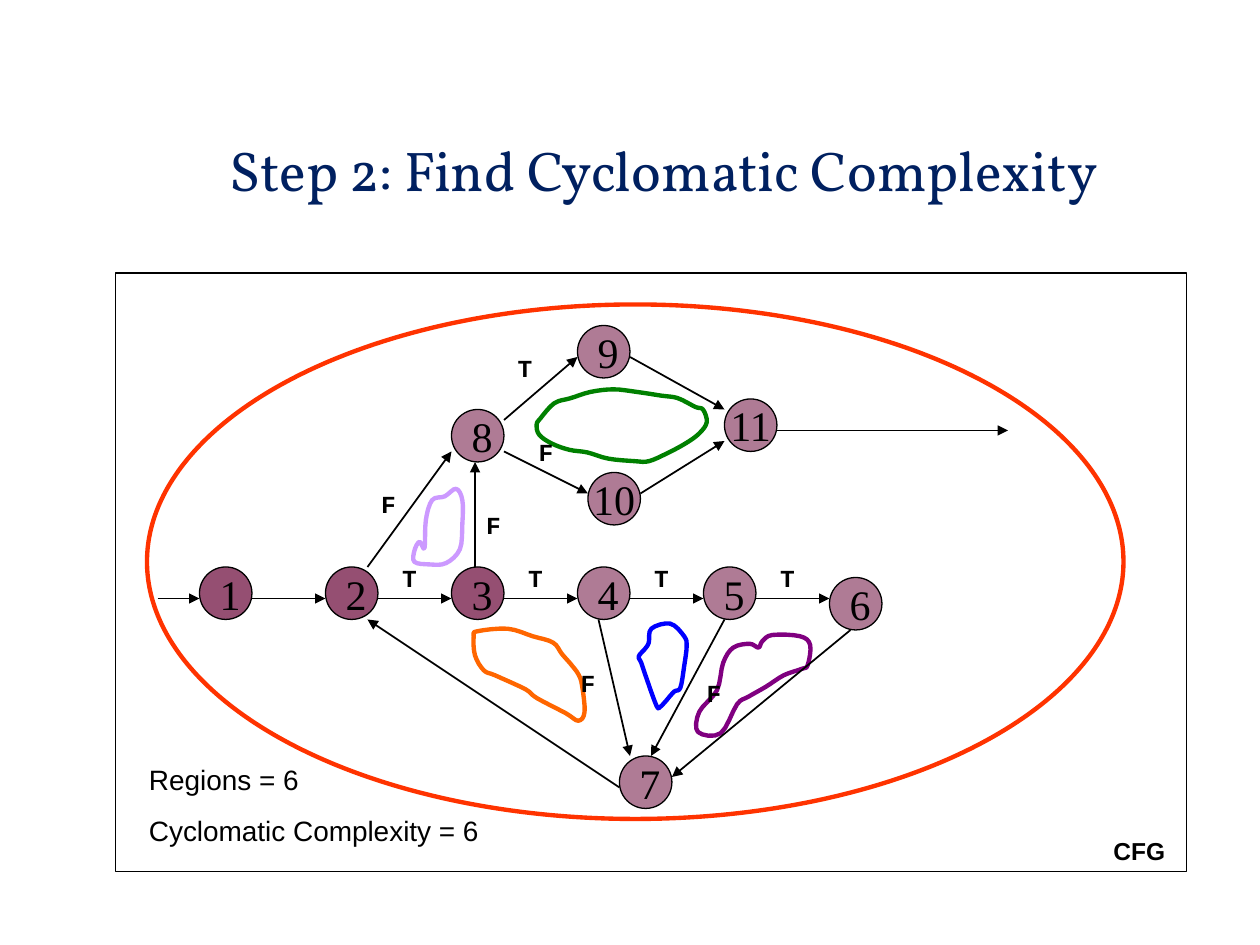
"""Build the cyclomatic complexity slide on a grid of twelfths of an inch."""
from dataclasses import dataclass
from itertools import chain
from typing import NamedTuple

from lxml import etree
from pptx import Presentation
from pptx import util as u
from pptx.dml import color
from pptx.enum import shapes, text
from pptx.oxml import ns

CELL = u.Inches(1) // 12
COLS, ROWS = 120, 90


@dataclass(frozen=True)
class Theme:
    ink: str = "000000"
    title: str = "002060"
    node: str = "954F72"
    outer: str = "FF3300"
    head: str = "Vollkorn"
    body: str = "Arial"
    code: str = "Courier New"
    digit: str = "Times New Roman"
    big: int = 32
    mid: int = 24
    note: int = 16
    small: int = 14
    thick: float = 2.5
    thin: float = 1
    rim: float = 0.75


class Node(NamedTuple):
    name: str
    col: float
    row: float
    solid: bool = False


class Edge(NamedTuple):
    col: float
    row: float
    to_col: float
    to_row: float


class Label(NamedTuple):
    name: str
    col: float
    row: float


class Loop(NamedTuple):
    hue: str
    spots: tuple


THEME = Theme()
SIZE = 5
STEP = 12
FIRST, BASE = 19, 54

NODES = [Node(str(i + 1), FIRST + STEP * i, BASE, i < 3) for i in range(5)] + [
    Node("6", 79, 55), Node("7", 59, 72), Node("9", 55, 31),
    Node("8", 43, 39), Node("10", 56, 45), Node("11", 69, 38),
]
EDGES = [Edge(24 + STEP * i, 57, 31 + STEP * i, 57) for i in range(5)] + [
    Edge(15, 57, 19, 57), Edge(81, 60, 64, 74), Edge(69, 59, 62, 72),
    Edge(57, 59, 60, 72), Edge(59, 75, 35, 59), Edge(35, 54, 43, 43),
    Edge(48, 40, 55, 34), Edge(48, 43, 56, 47), Edge(60, 34, 69, 39),
    Edge(61, 47, 69, 42), Edge(74, 41, 96, 41), Edge(45.25, 54, 45.25, 44),
]
LABELS = [Label("T", 36 + STEP * i, 53) for i in range(4)] + [
    Label("T", 47, 33), Label("F", 49, 41), Label("F", 34, 46),
    Label("F", 53, 63), Label("F", 65, 64), Label("F", 44, 48),
]
LOOPS = [
    Loop("008000", (
        (5.52, 3.23), (5.38, 3.16), (5.25, 3.14), (5.05, 3.11), (4.87, 3.09),
        (4.69, 3.11), (4.53, 3.16), (4.4, 3.2), (4.29, 3.32), (4.26, 3.37),
        (4.28, 3.45), (4.38, 3.52), (4.52, 3.57), (4.66, 3.59), (4.83, 3.64),
        (5.04, 3.66), (5.15, 3.66), (5.29, 3.6), (5.44, 3.52), (5.55, 3.44),
        (5.61, 3.35), (5.58, 3.25))),
    Loop("FF6600", (
        (4.53, 5.27), (4.46, 5.19), (4.39, 5.1), (4.23, 5.05), (4.03, 4.99),
        (3.79, 5.01), (3.76, 5.05), (3.77, 5.2), (3.84, 5.32), (3.93, 5.36),
        (4.17, 5.47), (4.26, 5.54), (4.49, 5.66), (4.59, 5.72), (4.64, 5.65),
        (4.62, 5.44), (4.59, 5.35))),
    Loop("0000FF", (
        (5.21, 5.6), (5.12, 5.35), (5.09, 5.26), (5.07, 5.21), (5.12, 5.15),
        (5.15, 5.1), (5.17, 4.99), (5.32, 4.95), (5.43, 5.05), (5.45, 5.13),
        (5.43, 5.29), (5.4, 5.46), (5.35, 5.49), (5.28, 5.57), (5.24, 5.61))),
    Loop("800080", (
        (6.02, 5.14), (6.05, 5.09), (6.13, 5.04), (6.35, 5.05), (6.43, 5.12),
        (6.41, 5.28), (6.36, 5.31), (6.22, 5.36), (6.08, 5.45), (5.94, 5.53),
        (5.85, 5.59), (5.72, 5.82), (5.54, 5.81), (5.55, 5.65), (5.69, 5.48),
        (5.74, 5.26), (5.82, 5.14), (5.95, 5.11))),
    Loop("CC99FF", (
        (3.37, 4.35), (3.38, 4.13), (3.43, 3.97), (3.53, 3.94), (3.62, 3.88),
        (3.67, 3.97), (3.67, 4.16), (3.65, 4.36), (3.54, 4.47), (3.41, 4.48),
        (3.29, 4.46), (3.29, 4.37), (3.33, 4.3))),
]


def tint(hue: str) -> color.RGBColor:
    """Turn a hex string into a colour."""
    return color.RGBColor.from_string(hue)


def grid(*cells: float) -> list[int]:
    """Turn grid cells into slide lengths."""
    return [round(c * CELL) for c in cells]


def write(frame, *lines: str, font: str = THEME.body, size: float = THEME.small,
          hue: str = THEME.ink, bold: bool = False, align=text.PP_ALIGN.CENTER,
          gap: float = 0, lead: float = 1) -> None:
    """Fill a text frame with formatted paragraphs."""
    for i, line in enumerate(lines):
        para = frame.add_paragraph() if i else frame.paragraphs[0]
        para.text, para.alignment, para.line_spacing = line, align, lead
        para.space_before = u.Pt(gap if i else 0)
        para.font.name, para.font.size, para.font.bold = font, u.Pt(size), bold
        para.font.color.rgb = tint(hue)


def box(slide, col: float, row: float, wide: float, high: float, *lines: str, **form) -> None:
    """Add a wrapping text box."""
    frame = slide.shapes.add_textbox(*grid(col, row, wide, high)).text_frame
    frame.word_wrap = True
    write(frame, *lines, **form)


def trim(shape, hue: str, width: float) -> None:
    """Give a shape a plain outline with no fill and no shadow."""
    shape.shadow.inherit = False
    shape.fill.background()
    shape.line.color.rgb, shape.line.width = tint(hue), u.Pt(width)


def ring(slide, kind, cells: tuple, hue: str, width: float):
    """Add an outlined preset shape."""
    shape = slide.shapes.add_shape(kind, *grid(*cells))
    trim(shape, hue, width)
    return shape


def draw_node(slide, node: Node) -> None:
    """Draw a numbered circle."""
    shape = ring(slide, shapes.MSO_SHAPE.OVAL, (node.col, node.row, SIZE, SIZE),
                 THEME.ink, THEME.rim)
    shape.fill.solid()
    shape.fill.fore_color.rgb = tint(THEME.node)
    if not node.solid:
        fill = shape.fill._xPr.find(ns.qn("a:solidFill"))[0]
        etree.SubElement(fill, ns.qn("a:alpha"), val="75000")
    shape.text_frame.word_wrap = False
    shape.text_frame.vertical_anchor = text.MSO_ANCHOR.MIDDLE
    side = text.PP_ALIGN.CENTER if len(node.name) > 1 else text.PP_ALIGN.LEFT
    write(shape.text_frame, node.name, font=THEME.digit, size=THEME.mid, align=side)


def draw_edge(slide, edge: Edge) -> None:
    """Draw an arrow between two grid points."""
    line = slide.shapes.add_connector(shapes.MSO_CONNECTOR.STRAIGHT, *grid(*edge))
    line.line.color.rgb, line.line.width = tint(THEME.ink), u.Pt(THEME.thin)
    etree.SubElement(line.line._get_or_add_ln(), ns.qn("a:tailEnd"), type="triangle")
    etree.SubElement(line._element.spPr, ns.qn("a:effectLst"))


def curve(spots: tuple, steps: int = 4) -> list[tuple]:
    """Round a closed outline, given in inches, with a Catmull-Rom spline."""
    def blend(a, b, c, d, t):
        return u.Inches(b + t / 2 * (c - a + t * (2*a - 5*b + 4*c - d + t * (3*b - a - 3*c + d))))

    n = len(spots)
    spans = ([spots[(i + k) % n] for k in (-1, 0, 1, 2)] for i in range(n))
    return list(chain.from_iterable(
        [tuple(blend(*axis, s / steps) for axis in zip(*span)) for s in range(steps)]
        for span in spans))


def draw_loop(slide, loop: Loop) -> None:
    """Draw a hand-shaped outline around a region."""
    start, *rest = curve(loop.spots)
    path = slide.shapes.build_freeform(*start)
    path.add_line_segments(rest, close=True)
    trim(path.convert_to_shape(), loop.hue, THEME.thick)


def main() -> None:
    """Build and save the slide."""
    deck = Presentation()
    deck.slide_width, deck.slide_height = grid(COLS, ROWS)
    slide = deck.slides.add_slide(deck.slide_layouts[6])
    box(slide, 20, 13, 86.5, 12.25, "Step 2: Find Cyclomatic Complexity",
        font=THEME.head, size=THEME.big, hue=THEME.title, lead=0.9)
    for draw, items in ((draw_loop, LOOPS), (draw_node, NODES), (draw_edge, EDGES)):
        for item in items:
            draw(slide, item)
    ring(slide, shapes.MSO_SHAPE.RECTANGLE, (11, 26, 102, 57), THEME.ink, THEME.thin)
    box(slide, 104, 79, 9, 4, "CFG", bold=True)
    for label in LABELS:
        box(slide, label.col, label.row, 6, 4, label.name, font=THEME.code, bold=True)
    box(slide, 13, 72, 38, 9.25, "Regions = 6", "Cyclomatic Complexity = 6",
        size=THEME.note, align=text.PP_ALIGN.LEFT, gap=10)
    ring(slide, shapes.MSO_SHAPE.OVAL, (14, 29, 93, 49), THEME.outer, THEME.thick)
    deck.save("out.pptx")


if __name__ == "__main__":
    main()
